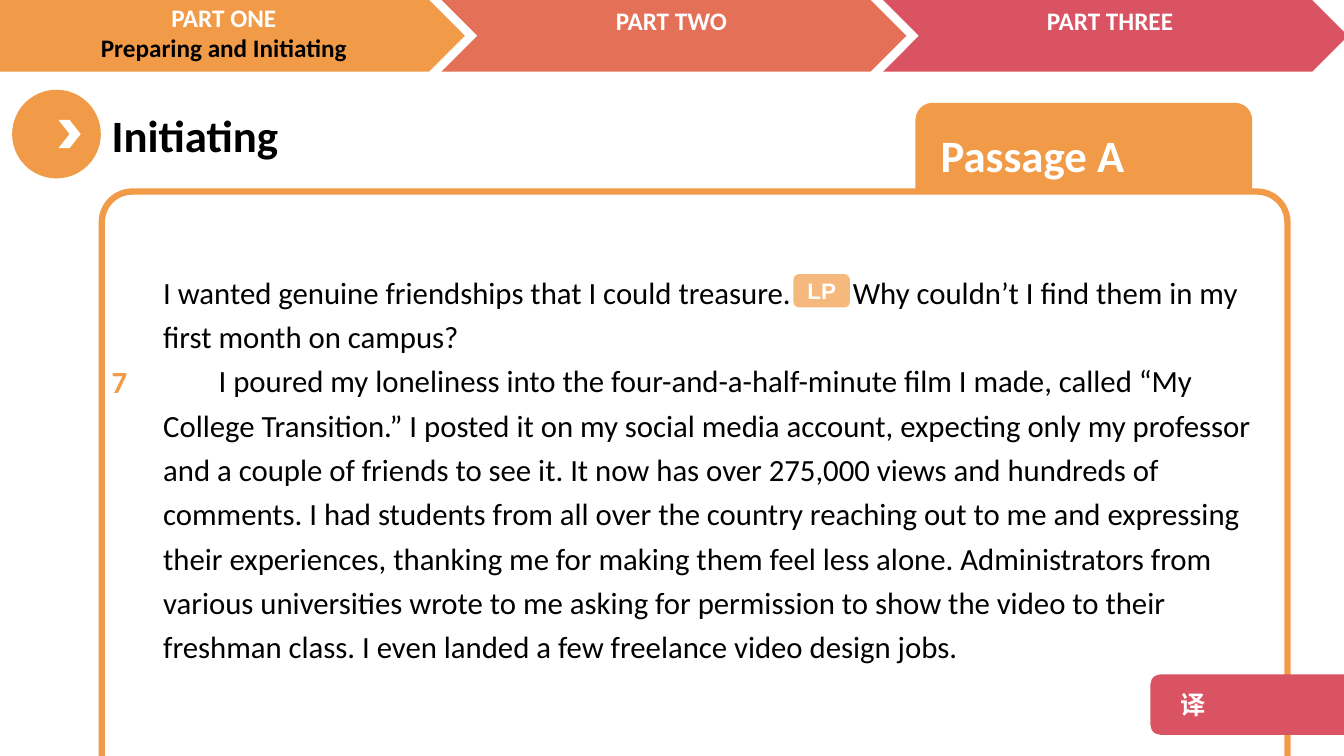
from dataclasses import dataclass

from lxml.etree import SubElement
from pptx import Presentation
from pptx.dml.color import RGBColor
from pptx.enum.shapes import MSO_SHAPE
from pptx.enum.text import MSO_ANCHOR, PP_ALIGN
from pptx.oxml.ns import qn
from pptx.util import Inches, Pt


@dataclass(frozen=True)
class Theme:
    """Colours, fonts and type sizes of the slide."""
    orange: str = "F19B48"
    coral: str = "E47057"
    red: str = "DA5362"
    white: str = "FFFFFF"
    black: str = "000000"
    font: str = "Calibri"
    badge_font: str = "Arial"
    chinese_font: str = "Noto Sans CJK SC"
    title: int = 32
    body: int = 22
    label: int = 18
    badge: int = 16


T = Theme()
FRIENDSHIPS = ("I wanted genuine friendships that I could treasure.\t"
               "Why couldn’t I find them in my first month on campus?")
FILM = ("I poured my loneliness into the four-and-a-half-minute film I made, called "
        "“My College Transition.” I posted it on my social media account, expecting "
        "only my professor and a couple of friends to see it. It now has over 275,000 "
        "views and hundreds of comments. I had students from all over the country "
        "reaching out to me and expressing their experiences, thanking me for making "
        "them feel less alone. Administrators from various universities wrote to me "
        "asking for permission to show the video to their freshman class. I even "
        "landed a few freelance video design jobs.")


def add_run(p, text, size, color, bold=True, font=T.font):
    """Append a formatted run to a paragraph."""
    r = p.add_run()
    r.text = text
    r.font.size = Pt(size)
    r.font.bold = bold
    r.font.name = font
    r.font.color.rgb = RGBColor.from_string(color)
    SubElement(r.font._element, qn("a:ea"), typeface=font)


def add_block(s, kind, box, fill, line=None, adj=None, alpha=None):
    """Add a flat preset shape."""
    sp = s.shapes.add_shape(kind, *map(Inches, box))
    sp.shadow.inherit = False
    sp.fill.solid()
    sp.fill.fore_color.rgb = RGBColor.from_string(fill)
    if alpha:
        color = sp.fill._xPr.find(qn("a:solidFill"))[0]
        SubElement(color, qn("a:alpha"), val=str(alpha * 1000))
    if line:
        sp.line.color.rgb = RGBColor.from_string(line)
        sp.line.width = Pt(4.5)
    else:
        sp.line.fill.background()
    if adj:
        sp.adjustments[0] = adj
    return sp


def add_caption(sp, text, size, font=T.font, align=PP_ALIGN.LEFT, inset=0.1):
    """Write white bold text inside a shape."""
    tf = sp.text_frame
    tf.vertical_anchor = MSO_ANCHOR.MIDDLE
    tf.margin_left = Inches(inset)
    p = tf.paragraphs[0]
    p.alignment = align
    add_run(p, text, size, T.white, font=font)


def add_text(s, box, lines, size, bold=True, align=PP_ALIGN.LEFT, spacing=None):
    """Add a wrapped text box with one paragraph per (text, colour) pair."""
    tf = s.shapes.add_textbox(*map(Inches, box)).text_frame
    tf.word_wrap = True
    for i, (text, color) in enumerate(lines):
        p = tf.add_paragraph() if i else tf.paragraphs[0]
        p.alignment = align
        p.line_spacing = spacing
        add_run(p, text, size, color, bold)
    return tf


def add_navigation(s):
    """Draw the three part arrows and their labels."""
    step, width, height, lead = 4.38, 4.61, 0.71, 0.61
    parts = [
        (T.orange, -0.06, -0.03, [("PART ONE", T.white),
                                  ("Preparing and Initiating", T.black)]),
        (T.coral, 0, 0, [("PART TWO", T.white)]),
        (T.red, -0.03, 0, [("PART THREE", T.white)]),
    ]
    for i, (fill, dx, top, lines) in enumerate(parts):
        extra = 0 if i else lead
        add_block(s, MSO_SHAPE.CHEVRON, (i * step - extra, 0, width + extra, height), fill)
        add_text(s, (i * step + dx, top, 4.56, height), lines, T.label,
                 align=PP_ALIGN.CENTER)


def add_heading(s):
    """Draw the section marker and title."""
    add_block(s, MSO_SHAPE.OVAL, (0.12, 0.89, 0.88, 0.88), T.orange)
    add_block(s, MSO_SHAPE.CHEVRON, (0.58, 1.19, 0.22, 0.28), T.white)
    add_text(s, (1.01, 1.02, 4.85, 0.64), [("Initiating", T.black)], T.title)


def add_card(s):
    """Draw the passage tab and the framed card."""
    tab = add_block(s, MSO_SHAPE.ROUNDED_RECTANGLE, (9.08, 1.02, 3.34, 1.02), T.orange)
    add_caption(tab, "Passage A", T.title, inset=0.2)
    add_block(s, MSO_SHAPE.ROUNDED_RECTANGLE, (1.01, 1.9, 11.76, 6.45), T.white,
              line=T.orange, adj=0.047)


def add_passage(s):
    """Write the passage, its paragraph number and its badges."""
    tf = add_text(s, (1.52, 2.59, 11.25, 4.07),
                  [(FRIENDSHIPS, T.black), (FILM, T.black)],
                  T.body, bold=False, spacing=1.2)
    first, second = tf.paragraphs
    tabs = SubElement(first._p.get_or_add_pPr(), qn("a:tabLst"))
    SubElement(tabs, qn("a:tab"), pos=str(Inches(6.84)), algn="l")
    second._p.get_or_add_pPr().set("indent", str(Inches(0.55)))
    add_text(s, (1.01, 3.48, 0.51, 0.5), [("7", T.orange)], T.body, spacing=1.2)
    badge = add_block(s, MSO_SHAPE.ROUNDED_RECTANGLE, (7.87, 2.72, 0.56, 0.33),
                      T.orange, alpha=71)
    add_caption(badge, "LP", T.badge, T.badge_font, PP_ALIGN.CENTER)
    button = add_block(s, MSO_SHAPE.ROUNDED_RECTANGLE, (11.41, 6.69, 2.13, 0.6), T.red)
    add_caption(button, "译", T.label, T.chinese_font, inset=0.27)


def main():
    """Build and save the slide."""
    prs = Presentation()
    prs.slide_width, prs.slide_height = Inches(13.33), Inches(7.5)
    s = prs.slides.add_slide(prs.slide_layouts[6])
    add_heading(s)
    add_card(s)
    add_navigation(s)
    add_passage(s)
    prs.save("out.pptx")


if __name__ == "__main__":
    main()
